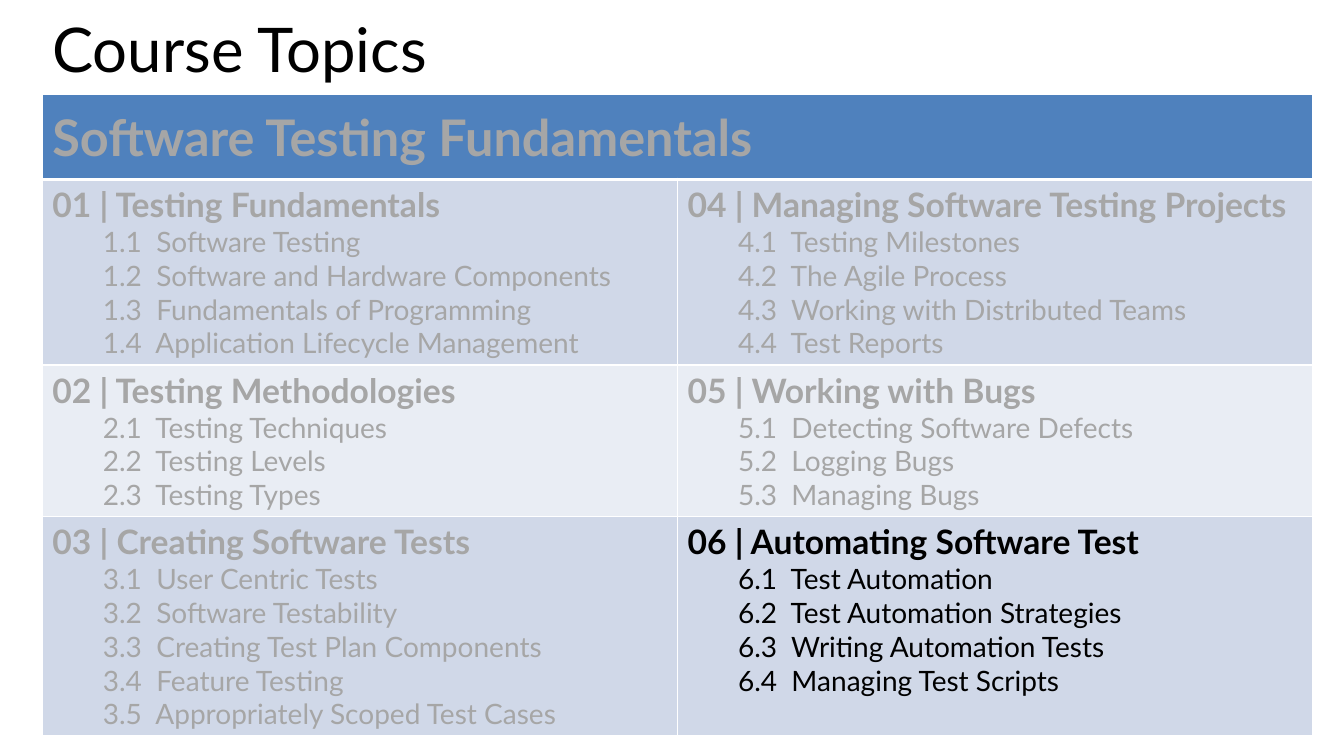
"""Build the course topics slide: a title above a two-column table of modules."""
from lxml.etree import SubElement
from pptx import Presentation
from pptx.dml.color import RGBColor
from pptx.enum.text import MSO_ANCHOR as Anchor, MSO_AUTO_SIZE as AutoSize, PP_ALIGN as Align
from pptx.oxml.ns import qn
from pptx.util import Inches, Pt

COLORS = {"black": "000000", "muted": "A6A6A6", "header": "4F81BD",
          "band_dark": "D0D8E8", "band_light": "E9EDF4", "border": "FFFFFF"}
FONT = "Lato"
LEFT, WIDTH = 0.42, 12.6
TABLE_TOP = 0.94
HEADER_HEIGHT = 0.84
HEADING_SIZE, TOPIC_SIZE = 24, 20
CURRENT_MODULE = 6
MODULES = [
    ("Testing Fundamentals",
     ["Software Testing", "Software and Hardware Components",
      "Fundamentals of Programming", "Application Lifecycle Management"]),
    ("Testing Methodologies",
     ["Testing Techniques", "Testing Levels", "Testing Types"]),
    ("Creating Software Tests",
     ["User Centric Tests", "Software Testability", "Creating Test Plan Components",
      "Feature Testing", "Appropriately Scoped Test Cases"]),
    ("Managing Software Testing Projects",
     ["Testing Milestones", "The Agile Process",
      "Working with Distributed Teams", "Test Reports"]),
    ("Working with Bugs",
     ["Detecting Software Defects", "Logging Bugs", "Managing Bugs"]),
    ("Automating Software Test",
     ["Test Automation", "Test Automation Strategies",
      "Writing Automation Tests", "Managing Test Scripts"]),
]
MODULE_ROWS = len(MODULES) // 2


def write_paragraph(paragraph, text, size, color, bold=False):
    """Fill a paragraph with one formatted line of text."""
    paragraph.text = text
    paragraph.alignment = Align.LEFT
    font = paragraph.runs[0].font
    font.name, font.size, font.bold = FONT, Pt(size), bold
    font.color.rgb = RGBColor.from_string(COLORS[color])


def style_cell(cell, fill, top=1, bottom=1):
    """Give a cell white borders and a solid fill."""
    properties = cell._tc.get_or_add_tcPr()
    for side, width in (("L", 1), ("R", 1), ("T", top), ("B", bottom)):
        line = SubElement(properties, qn(f"a:ln{side}"), w=str(Pt(width)))
        solid = SubElement(line, qn("a:solidFill"))
        SubElement(solid, qn("a:srgbClr"), val=COLORS["border"])
    cell.fill.solid()
    cell.fill.fore_color.rgb = RGBColor.from_string(COLORS[fill])


presentation = Presentation()
presentation.slide_width, presentation.slide_height = Inches(13.33), Inches(7.5)
slide = presentation.slides.add_slide(presentation.slide_layouts[5])

title = slide.shapes.title
title.left, title.top = Inches(LEFT), Inches(0.2)
title.width, title.height = Inches(WIDTH), Inches(1.16)
title.text_frame.auto_size = AutoSize.NONE
title.text_frame.vertical_anchor = Anchor.TOP
write_paragraph(title.text_frame.paragraphs[0], "Course Topics", 44, "black")
title.text_frame.paragraphs[0].line_spacing = 0.8

table = slide.shapes.add_table(
    MODULE_ROWS + 1, 2, Inches(LEFT), Inches(TABLE_TOP), Inches(WIDTH),
    Inches(HEADER_HEIGHT * (MODULE_ROWS + 1))).table
table.rows[0].height = Inches(HEADER_HEIGHT)
for header_cell in table.rows[0].cells:
    style_cell(header_cell, "header", bottom=3)
header = table.cell(0, 0)
header.merge(table.cell(0, 1))
header.vertical_anchor = Anchor.MIDDLE
write_paragraph(header.text_frame.paragraphs[0], "Software Testing Fundamentals",
                36, "muted", bold=True)

for index, (heading, topics) in enumerate(MODULES):
    column, row = divmod(index, MODULE_ROWS)
    number = index + 1
    color = "black" if number == CURRENT_MODULE else "muted"
    cell = table.cell(row + 1, column)
    style_cell(cell, "band_light" if row % 2 else "band_dark", top=1 if row else 3)
    if column == 0:
        text_points = 1.2 * (HEADING_SIZE + TOPIC_SIZE * len(topics))
        table.rows[row + 1].height = Inches(0.1) + Pt(text_points)
    write_paragraph(cell.text_frame.paragraphs[0], f"{number:02d} | {heading}",
                    HEADING_SIZE, color, bold=True)
    for position, topic in enumerate(topics, start=1):
        paragraph = cell.text_frame.add_paragraph()
        write_paragraph(paragraph, f"{number}.{position}  {topic}", TOPIC_SIZE, color)
        paragraph.level = 1
        paragraph_properties = paragraph._p.get_or_add_pPr()
        paragraph_properties.set("marL", str(Inches(0.5)))
        paragraph_properties.set("indent", "0")

presentation.save("out.pptx")
